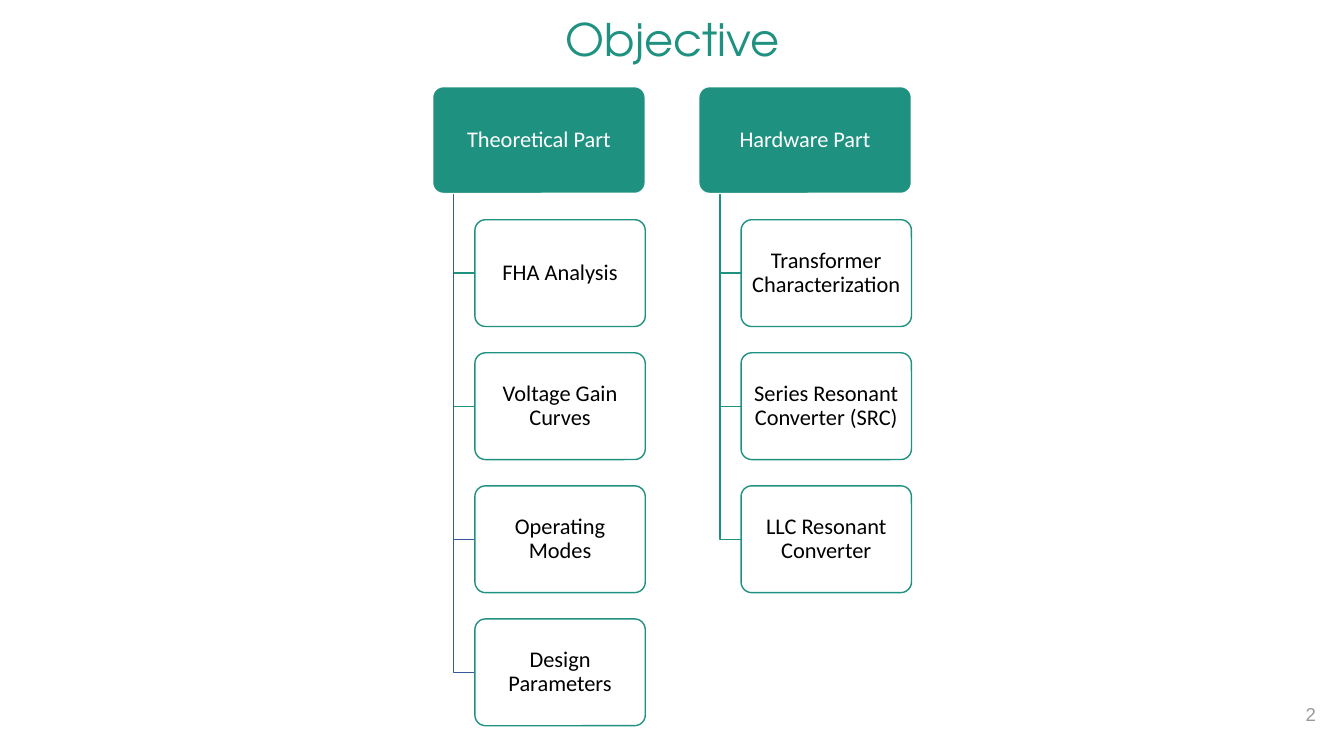
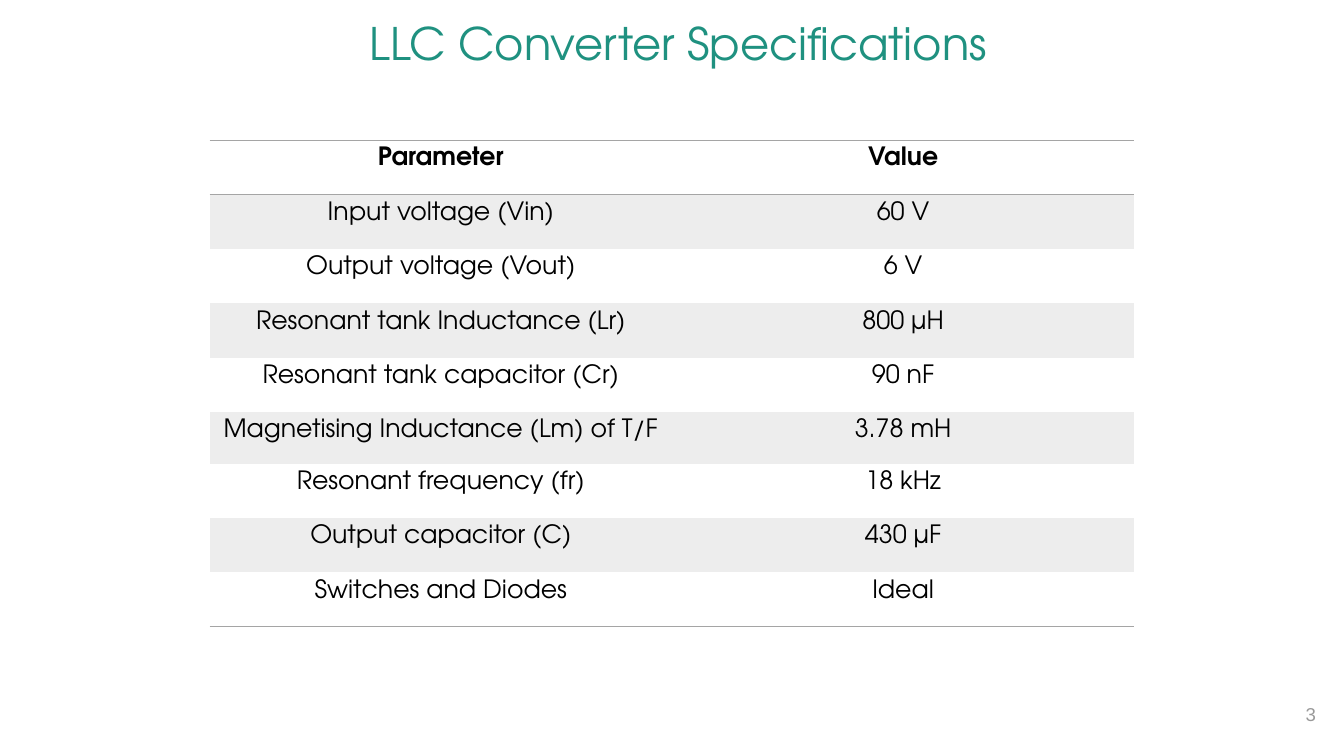
from pptx import Presentation
from pptx.dml.color import RGBColor
from pptx.enum.shapes import MSO_SHAPE
from pptx.enum.text import MSO_ANCHOR, PP_ALIGN
from pptx.oxml import parse_xml
from pptx.oxml.ns import nsdecls, qn
from pptx.util import Inches, Pt

TEAL = RGBColor(0x1F, 0x91, 0x80)
BLUE = RGBColor(0x36, 0x5B, 0x9D)
WHITE = RGBColor(0xFF, 0xFF, 0xFF)
BLACK = RGBColor(0x00, 0x00, 0x00)
BAND_GREY = RGBColor(0xED, 0xED, 0xED)
RULE_GREY = RGBColor(0xA5, 0xA5, 0xA5)
NUMBER_GREY = RGBColor(0x99, 0x99, 0x99)
TITLE_FONT = "TeX Gyre Adventor"
NO_STYLE_NO_GRID = "{2D5ABB26-0587-4C30-8999-92F81FD0307C}"


def write(holder, text, font, size, color, align, inset_x, inset_y, anchor):
    """Put one styled paragraph into a text box, shape or table cell."""
    frame = holder.text_frame
    frame.word_wrap = True
    # Cells keep margins and anchor on themselves, shapes on their text frame
    box = holder if hasattr(holder, "vertical_anchor") else frame
    box.margin_left = box.margin_right = Inches(inset_x)
    box.margin_top = box.margin_bottom = Inches(inset_y)
    box.vertical_anchor = anchor
    paragraph = frame.paragraphs[0]
    paragraph.text = text
    paragraph.alignment = align
    paragraph.font.name = font
    paragraph.font.size = Pt(size)
    paragraph.font.color.rgb = color
    return paragraph


def add_slide(title, left, top, width, align, inset, number):
    """Start a slide with its title and page number."""
    slide = prs.slides.add_slide(prs.slide_layouts[6])
    title_box = slide.shapes.add_textbox(
        Inches(left), Inches(top), Inches(width), Inches(0.84))
    write(title_box, title, TITLE_FONT, 32, TEAL, align, inset, inset, MSO_ANCHOR.TOP)
    number_box = slide.shapes.add_textbox(
        Inches(12.35), Inches(6.8), Inches(0.8), Inches(0.57))
    write(number_box, str(number), "Arial", 13.3, NUMBER_GREY,
          PP_ALIGN.RIGHT, 0.1, 0.1, MSO_ANCHOR.MIDDLE)
    return slide


prs = Presentation()
prs.slide_width = Inches(13.33)
prs.slide_height = Inches(7.5)

# Slide 1: objective as two hierarchies
objective = add_slide("Objective", 3.09, 0.02, 7.16, PP_ALIGN.CENTER, 0.1, 2)

BOX_HEIGHT = 1.06
HEAD_WIDTH, TOPIC_WIDTH = 2.11, 1.69
HEAD_TOP = 0.86
ROW_PITCH = 1.32
COLUMN_PITCH = 2.64
INDENT = 0.21

parts = [
    ("Theoretical Part", [("FHA Analysis", TEAL), ("Voltage Gain Curves", TEAL),
                          ("Operating Modes", BLUE), ("Design Parameters", BLUE)]),
    ("Hardware Part", [("Transformer Characterization", TEAL),
                       ("Series Resonant Converter (SRC)", TEAL),
                       ("LLC Resonant Converter", TEAL)]),
]

for column, (part, topics) in enumerate(parts):
    left = 4.29 + column * COLUMN_PITCH
    trunk_x = left + INDENT
    topic_left = trunk_x + INDENT
    boxes = [(part, left, HEAD_TOP, HEAD_WIDTH, TEAL, WHITE, WHITE)]

    # Branches from the head to each topic
    for row, (topic, branch_color) in enumerate(topics, start=1):
        top = HEAD_TOP + row * ROW_PITCH
        middle = top + BOX_HEIGHT / 2
        builder = objective.shapes.build_freeform(
            Inches(trunk_x), Inches(HEAD_TOP + BOX_HEIGHT))
        builder.add_line_segments(
            [(Inches(trunk_x), Inches(middle)), (Inches(topic_left), Inches(middle))],
            close=False)
        branch = builder.convert_to_shape()
        branch.shadow.inherit = False
        branch.fill.background()
        branch.line.color.rgb = branch_color
        branch.line.width = Pt(1)
        boxes.append((topic, topic_left, top, TOPIC_WIDTH, WHITE, TEAL, BLACK))

    # Head and topic boxes
    for text, box_left, top, width, fill, outline, text_color in boxes:
        box = objective.shapes.add_shape(
            MSO_SHAPE.ROUNDED_RECTANGLE,
            Inches(box_left), Inches(top), Inches(width), Inches(BOX_HEIGHT))
        box.adjustments[0] = 0.1
        box.shadow.inherit = False
        box.fill.solid()
        box.fill.fore_color.rgb = fill
        box.line.color.rgb = outline
        box.line.width = Pt(1)
        label = write(box, text, "Calibri", 16, text_color,
                      PP_ALIGN.CENTER, 0.06, 0.05, MSO_ANCHOR.MIDDLE)
        label.line_spacing = 0.9

# Slide 2: specification table
specs_slide = add_slide("LLC Converter Specifications", 3.54, 0.03, 7.3,
                        PP_ALIGN.LEFT, 0.13, 3)

specs = [
    ("Parameter", "Value"),
    ("Input voltage (Vin)", "60 V"),
    ("Output voltage (Vout)", "6 V"),
    ("Resonant tank Inductance (Lr)", "800 µH"),
    ("Resonant tank capacitor (Cr)", "90 nF"),
    ("Magnetising Inductance (Lm) of T/F", "3.78 mH"),
    ("Resonant frequency (fr)", "18 kHz"),
    ("Output capacitor (C)", "430 µF"),
    ("Switches and Diodes", "Ideal"),
]
last_row = len(specs) - 1

table = specs_slide.shapes.add_table(
    len(specs), 2, Inches(2.08), Inches(1.39), Inches(9.17), Inches(4.84)).table
table.horz_banding = False
table._tbl.tblPr.find(qn("a:tableStyleId")).text = NO_STYLE_NO_GRID

for row, values in enumerate(specs):
    table.rows[row].height = Inches(0.51 if row == 5 else 0.54)
    ruled_edges = {0: ["lnT", "lnB"], last_row: ["lnB"]}.get(row, [])
    for column, value in enumerate(values):
        cell = table.cell(row, column)
        text = write(cell, value, TITLE_FONT, 18, BLACK,
                     PP_ALIGN.CENTER, 0.13, 0.07, MSO_ANCHOR.TOP)
        text.font.bold = row == 0
        # Horizontal rules above and below the header and under the last row
        for edge in ruled_edges:
            cell._tc.get_or_add_tcPr().append(parse_xml(
                f'<a:{edge} {nsdecls("a")} w="{Pt(1)}"><a:solidFill>'
                f'<a:srgbClr val="{RULE_GREY}"/></a:solidFill></a:{edge}>'))
        # Grey bands on odd rows
        if row % 2:
            cell.fill.solid()
            cell.fill.fore_color.rgb = BAND_GREY
        else:
            cell.fill.background()

prs.save("out.pptx")
